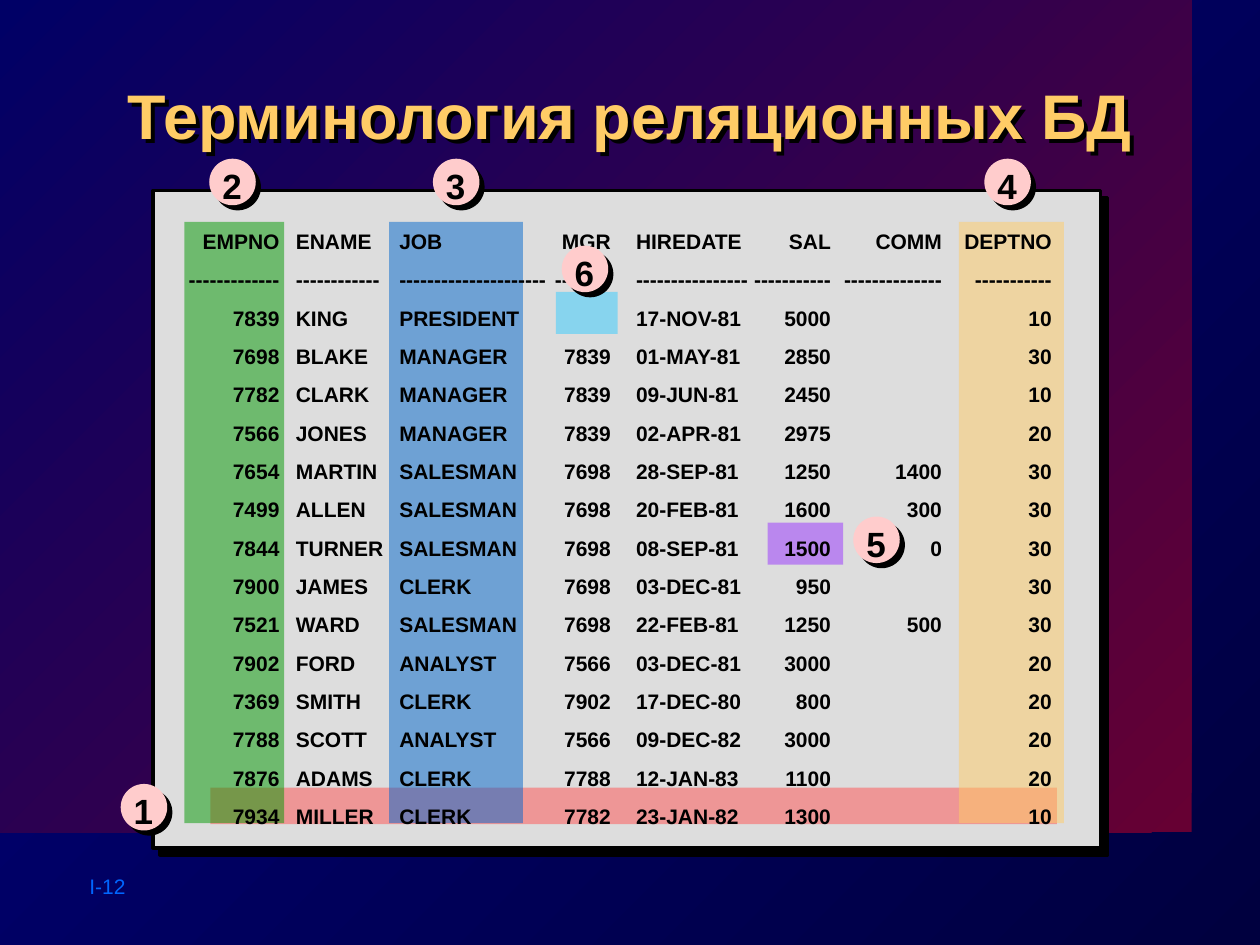
import pptx
import pptx.dml.color
import pptx.enum.shapes
import pptx.enum.text
import pptx.oxml
import pptx.oxml.ns
import pptx.util

Pt = pptx.util.Pt
Kind = pptx.enum.shapes.MSO_SHAPE
Align = pptx.enum.text.PP_ALIGN
qn = pptx.oxml.ns.qn
NS = pptx.oxml.ns.nsdecls("a")

TABS = [(53.3, "r"), (62.6, "l"), (121.7, "l"), (242.6, "r"),
        (257, "l"), (368.4, "r"), (431.8, "r"), (494.6, "r")]

ROWS = [
    ("EMPNO", "ENAME", "JOB", "MGR", "HIREDATE", "SAL", "COMM", "DEPTNO"),
    tuple("-" * count for count in (13, 12, 21, 8, 16, 11, 14, 11)),
    ("7839", "KING", "PRESIDENT", "", "17-NOV-81", "5000", "", "10"),
    ("7698", "BLAKE", "MANAGER", "7839", "01-MAY-81", "2850", "", "30"),
    ("7782", "CLARK", "MANAGER", "7839", "09-JUN-81", "2450", "", "10"),
    ("7566", "JONES", "MANAGER", "7839", "02-APR-81", "2975", "", "20"),
    ("7654", "MARTIN", "SALESMAN", "7698", "28-SEP-81", "1250", "1400", "30"),
    ("7499", "ALLEN", "SALESMAN", "7698", "20-FEB-81", "1600", "300", "30"),
    ("7844", "TURNER", "SALESMAN", "7698", "08-SEP-81", "1500", "0", "30"),
    ("7900", "JAMES", "CLERK", "7698", "03-DEC-81", "950", "", "30"),
    ("7521", "WARD", "SALESMAN", "7698", "22-FEB-81", "1250", "500", "30"),
    ("7902", "FORD", "ANALYST", "7566", "03-DEC-81", "3000", "", "20"),
    ("7369", "SMITH", "CLERK", "7902", "17-DEC-80", "800", "", "20"),
    ("7788", "SCOTT", "ANALYST", "7566", "09-DEC-82", "3000", "", "20"),
    ("7876", "ADAMS", "CLERK", "7788", "12-JAN-83", "1100", "", "20"),
    ("7934", "MILLER", "CLERK", "7782", "23-JAN-82", "1300", "", "10"),
]

MARKS = [
    ("1", (120.2, 450, 483.8, 20.9), "FF5050", (69, 448)),
    ("2", (105.4, 126.8, 57, 343.6), "009900", (119.6, 90.7)),
    ("3", (222.3, 126.8, 76.5, 343.6), "0066CC", (247.4, 90.7)),
    ("4", (548, 126.8, 60, 343.6), "FFCC66", (562.5, 90.7)),
    ("5", (438.6, 298.6, 43.2, 24), "9933FF", (487.6, 295.2)),
]
GAP = ("6", (317.6, 166.8, 35.4, 24), "33CCFF", (321, 140.4))


def rgb(code):
    return pptx.dml.color.RGBColor.from_string(code)


def shade(fill, start, end):
    fill.gradient()
    fill.gradient_angle = 135
    for stop, code in zip(fill.gradient_stops, (start, end)):
        stop.color.rgb = rgb(code)


def cast(form, dist):
    form.shadow.inherit = False
    form._element.spPr.find(qn("a:effectLst")).append(pptx.oxml.parse_xml(
        f'<a:outerShdw {NS} dist="{Pt(dist)}" dir="2700000" algn="ctr" rotWithShape="0">'
        '<a:srgbClr val="000000"/></a:outerShdw>'))


def add_form(shapes, kind, rect, color=None, alpha=None, drop=None):
    form = shapes.add_shape(kind, *map(Pt, rect))
    form.shadow.inherit = False
    form.line.fill.background()
    if color:
        form.fill.solid()
        form.fill.fore_color.rgb = rgb(color)
    if alpha:
        tone = form._element.spPr.find(qn("a:solidFill"))[0]
        tone.append(pptx.oxml.parse_xml(f'<a:alpha {NS} val="{alpha * 1000}"/>'))
    if drop:
        cast(form, drop)
    return form


def add_box(shapes, rect, wrap=True):
    box = shapes.add_textbox(*map(Pt, rect))
    box.text_frame.word_wrap = wrap
    return box


def add_run(para, text, size, color="000000", bold=True):
    run = para.add_run()
    run.text = text
    run.font.size = Pt(size)
    run.font.bold = bold
    run.font.name = "Arial"
    run.font.color.rgb = rgb(color)


def add_title(shapes):
    box = add_box(shapes, (26, 40.3, 668, 69))
    cast(box, 3.2)
    para = box.text_frame.paragraphs[0]
    para.alignment = Align.CENTER
    add_run(para, "Терминология реляционных БД", 36, "FFCC66")


def add_mark(shapes, label, rect, color, spot):
    group = shapes.add_group_shape().shapes
    add_form(group, Kind.RECTANGLE, rect, color, alpha=50)
    left, top = spot
    add_form(group, Kind.OVAL, (left, top, 26.6, 26.6), "FFCCCC", drop=4.2)
    box = add_box(group, (left, top - 5, 26, 36), wrap=False)
    para = box.text_frame.paragraphs[0]
    para.alignment = Align.CENTER
    para.line_spacing = 1.2
    add_run(para, label, 20)


def add_rows(shapes):
    frame = add_box(shapes, (99.4, 127, 510, 350.6)).text_frame
    stops = "".join(f'<a:tab pos="{Pt(spot)}" algn="{side}"/>' for spot, side in TABS)
    for index, row in enumerate(ROWS):
        para = frame.add_paragraph() if index else frame.paragraphs[0]
        props = para._p.get_or_add_pPr()
        props.append(pptx.oxml.parse_xml(f"<a:tabLst {NS}>{stops}</a:tabLst>"))
        if index:
            para.space_before = Pt(7.5)
        add_run(para, "\t" + "\t".join(row), 12)


def main():
    deck = pptx.Presentation()
    deck.slide_width, deck.slide_height = Pt(720), Pt(540)
    slide = deck.slides.add_slide(deck.slide_layouts[6])
    shapes = slide.shapes
    shade(slide.background.fill, "00003F", "000080")
    panel = add_form(shapes, Kind.RECTANGLE, (0, 0, 681, 475.5))
    shade(panel.fill, "660033", "000066")
    page = add_box(shapes, (44, 495.4, 76, 21.6), wrap=False)
    add_run(page.text_frame.paragraphs[0], "I-12", 12, "0066FF", bold=False)
    sheet = add_form(shapes, Kind.RECTANGLE, (87.4, 108.9, 541.6, 375.6), "DDDDDD", drop=5.7)
    sheet.line.color.rgb = rgb("000000")
    sheet.line.width = Pt(2)
    add_title(shapes)
    for mark in MARKS:
        add_mark(shapes, *mark)
    add_rows(shapes)
    add_mark(shapes, *GAP)
    deck.save("out.pptx")


if __name__ == "__main__":
    main()
